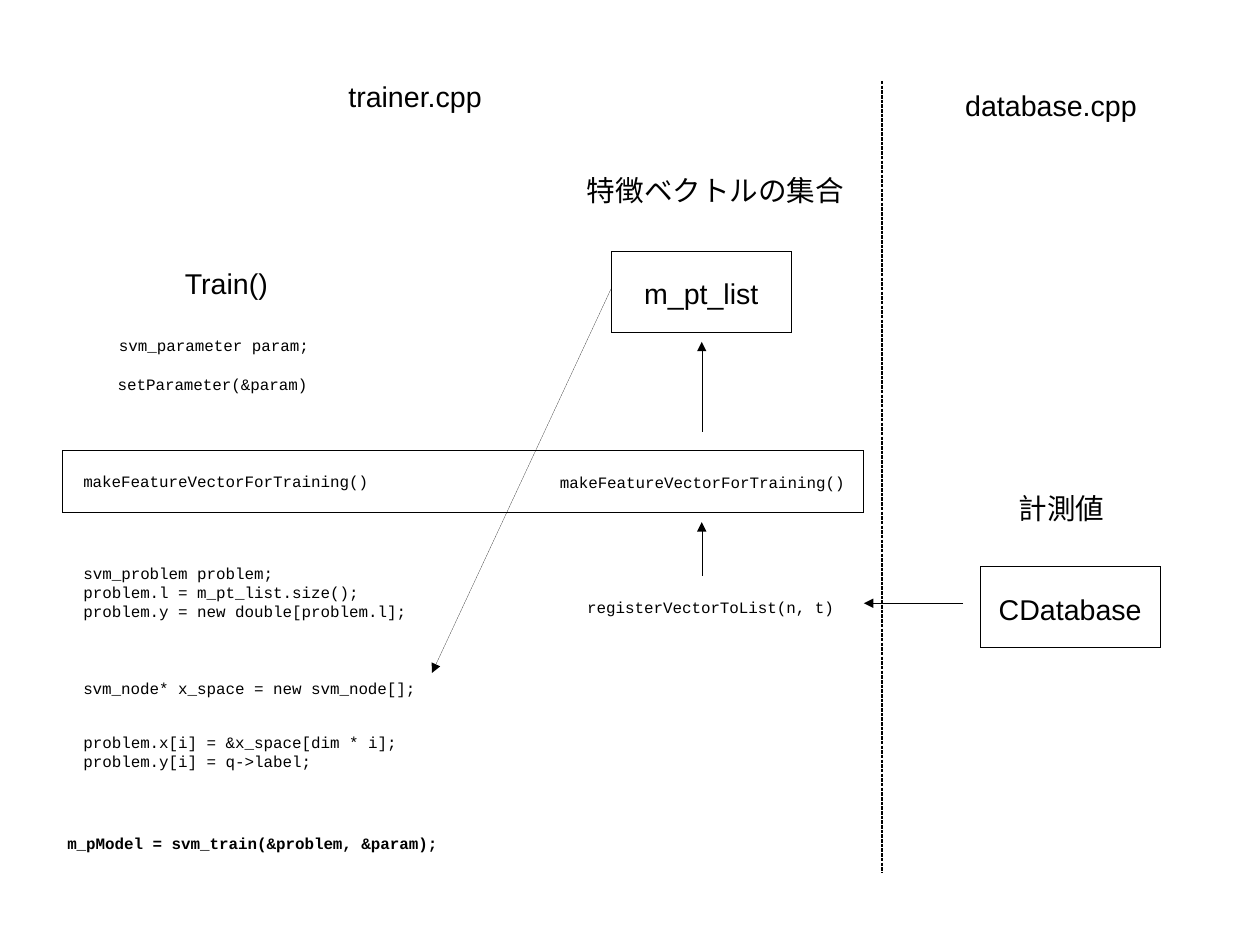
from pptx import Presentation
from pptx.dml.color import RGBColor
from pptx.enum.dml import MSO_LINE
from pptx.enum.shapes import MSO_CONNECTOR as Conn, MSO_SHAPE as Kind
from pptx.enum.text import MSO_ANCHOR as Anchor, MSO_AUTO_SIZE as Fit, PP_ALIGN as Align
from pptx.oxml.ns import qn
from pptx.util import Pt
from lxml.etree import SubElement

INK = "000000"
HEADS = [
    ("trainer.cpp", 212.4, 46.1, 98.6),
    ("database.cpp", 601, 51.8, 122.8),
    ("特徴ベクトルの集合", 362.7, 105.1, 176.8),
    ("Train()", 109.4, 164.2, 67),
    ("計測値", 634.6, 306, 68.8),
]
CODE = [
    (["svm_parameter param;"], 67.9, 208.1),
    (["setParameter(&param)"], 67, 232.3),
    (["makeFeatureVectorForTraining()"], 45.4, 293.3),
    (["makeFeatureVectorForTraining()"], 345.6, 294.5),
    (["registerVectorToList(n, t)"], 362.8, 372.8),
    (["svm_problem problem;",
      "problem.l = m_pt_list.size();",
      "problem.y = new double[problem.l];"], 45.4, 351.3),
    (["svm_node* x_space = new svm_node[];"], 45.4, 423.9),
    (["problem.x[i] = &x_space[dim * i];",
      "problem.y[i] = q->label;"], 45.4, 457.8),
]
RESULT = (["m_pModel = svm_train(&problem, &param);"], 35.3, 521.3)
BOXES = [
    ("m_pt_list", 385.2, 158.4, 113.2, 51),
    ("CDatabase", 617.6, 357, 113.2, 51),
    ("", 39.6, 283.5, 504.6, 39.6),
]
DIVIDER = (555.6, 51, 555.6, 549.8)
ARROWS = [
    (606.8, 380, 544.2, 380),
    (442.1, 362.8, 442.1, 328.9),
    (442.1, 272.1, 442.1, 215.3),
    (385.2, 181.4, 272.1, 423.9),
]
PAD_X, PAD_Y = 7.2, 3.6
CHAR, ROW = 6.1, 11.4
HAIR = 0.01


def color(code):
    return RGBColor.from_string(code)


def write(frame, lines, face, size, bold=False, align=Align.LEFT):
    frame.text = "\n".join(lines)
    for para in frame.paragraphs:
        para.alignment = align
        font = para.font
        font.name, font.size, font.bold = face, Pt(size), bold
        font.color.rgb = color(INK)


def stroke(line, width=HAIR):
    line.color.rgb = color(INK)
    line.width = Pt(width)


def field(x, y, w, h, wrap):
    frame = shapes.add_textbox(*map(Pt, (x, y, w, h))).text_frame
    frame.word_wrap = wrap
    frame.auto_size = Fit.SHAPE_TO_FIT_TEXT
    return frame


def label(text, x, y, w):
    write(field(x, y, w, 27.9, False), [text], "Arial", 18)


def code(lines, x, y, bold=False):
    w = CHAR * max(map(len, lines)) + 2 * PAD_X
    h = ROW * len(lines) + 2 * PAD_Y
    write(field(x, y, w, h, True), lines, "Courier New", 10, bold)


def box(text, *rect):
    shape = shapes.add_shape(Kind.RECTANGLE, *map(Pt, rect))
    shape.shadow.inherit = False
    shape.fill.background()
    stroke(shape.line)
    if text:
        frame = shape.text_frame
        frame.word_wrap = False
        frame.vertical_anchor = Anchor.MIDDLE
        frame.margin_top = Pt(5.5)
        write(frame, [text], "Arial", 18, align=Align.CENTER)


def link(ends, width=HAIR):
    wire = shapes.add_connector(Conn.STRAIGHT, *map(Pt, ends))
    stroke(wire.line, width)
    SubElement(wire._element.spPr, qn("a:effectLst"))
    return wire.line


deck = Presentation()
deck.slide_width, deck.slide_height = Pt(793.75), Pt(595.25)
shapes = deck.slides.add_slide(deck.slide_layouts[6]).shapes

for item in BOXES:
    box(*item)
for item in HEADS:
    label(*item)
for item in CODE:
    code(*item)
code(*RESULT, bold=True)

link(DIVIDER, 0.75).dash_style = MSO_LINE.SQUARE_DOT
for ends in ARROWS:
    line = link(ends)
    SubElement(line._get_or_add_ln(), qn("a:tailEnd"), type="triangle")

deck.save("out.pptx")
